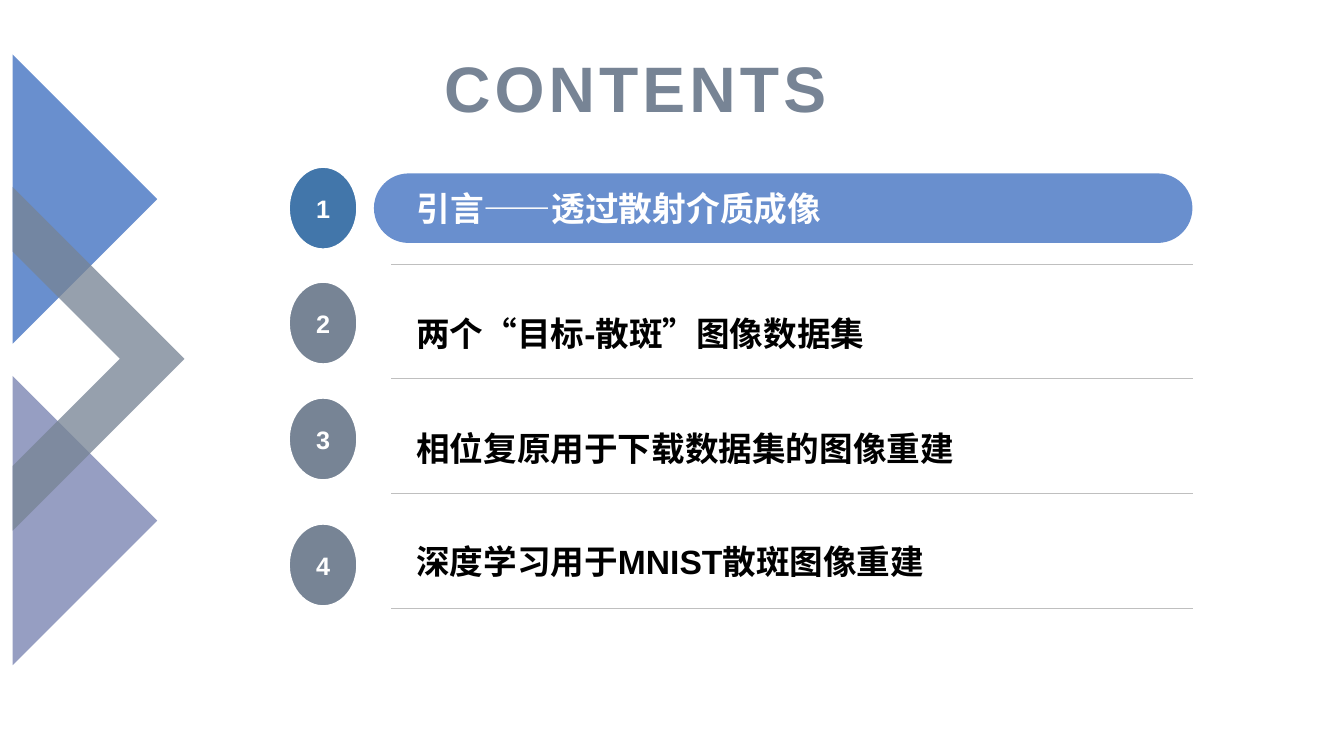
from dataclasses import dataclass

from lxml import etree
from pptx import Presentation
from pptx.dml.color import RGBColor
from pptx.enum.shapes import MSO_CONNECTOR, MSO_SHAPE
from pptx.enum.text import MSO_ANCHOR, PP_ALIGN
from pptx.oxml.ns import qn
from pptx.util import Inches, Pt

STRAIGHT = MSO_CONNECTOR.STRAIGHT
OVAL, PILL = MSO_SHAPE.OVAL, MSO_SHAPE.ROUNDED_RECTANGLE
MIDDLE, BOTTOM = MSO_ANCHOR.MIDDLE, MSO_ANCHOR.BOTTOM
LEFT, CENTER, RIGHT = PP_ALIGN.LEFT, PP_ALIGN.CENTER, PP_ALIGN.RIGHT

WHITE = RGBColor(0xFF, 0xFF, 0xFF)
BLACK = RGBColor(0x00, 0x00, 0x00)
BLUE = RGBColor(0x69, 0x8F, 0xCE)
DEEP_BLUE = RGBColor(0x42, 0x76, 0xAA)
LAVENDER = RGBColor(0x96, 0x9E, 0xC2)
SLATE = RGBColor(0x77, 0x84, 0x95)
RULE_GREY = RGBColor(0xBF, 0xBF, 0xBF)

LATIN_FONT, CHINESE_FONT = "Arial", "Noto Sans CJK SC"

# Grid of 80 columns by 45 rows
SLIDE_WIDTH, SLIDE_HEIGHT = Inches(13.33), Inches(7.5)
COLUMN, ROW = SLIDE_WIDTH / 80, SLIDE_HEIGHT / 45

EDGE = 0.75
TRIANGLE_REACH = 8.61
CHEVRON_MIDDLE, CHEVRON_OUTER, CHEVRON_INNER = 21.36, 10.23, 6.39
BADGE_LEFT, BADGE_WIDTH, BADGE_HEIGHT = 17.16, 4.14, 4.98
RULE_LEFT, RULE_RIGHT, FIRST_RULE, RULE_STEP = 23.28, 71.04, 15.72, 6.82


@dataclass(frozen=True)
class Box:
    left: float
    top: float
    width: float
    height: float

    def emu(self) -> tuple[int, int, int, int]:
        return (round(self.left * COLUMN), round(self.top * ROW),
                round(self.width * COLUMN), round(self.height * ROW))


@dataclass(frozen=True)
class TextStyle:
    size: float
    color: RGBColor
    align: PP_ALIGN = LEFT
    anchor: MSO_ANCHOR = MIDDLE
    inset: float = 0.6
    spacing: int = 0


@dataclass(frozen=True)
class Chapter:
    title: str
    badge_top: float
    box: Box
    current: bool = False


TITLE_STYLE = TextStyle(45.9, SLATE, RIGHT, spacing=300)
BADGE_STYLE = TextStyle(18, WHITE, CENTER, inset=0)
CURRENT_STYLE = TextStyle(24.1, WHITE, inset=1.92)
CHAPTER_STYLE = TextStyle(24, BLACK, anchor=BOTTOM)

CHAPTERS = [
    Chapter("引言——透过散射介质成像", 9.9, Box(22.26, 10.32, 48.72, 4.14), True),
    Chapter("两个“目标-散斑”图像数据集", 16.74, Box(24.18, 17.76, 46.56, 3.54)),
    Chapter("相位复原用于下载数据集的图像重建", 23.64, Box(24.18, 24.42, 48.72, 3.72)),
    Chapter("深度学习用于MNIST散斑图像重建", 31.14, Box(24.18, 31.14, 44.7, 3.72)),
]


def write(shape, text: str, style: TextStyle) -> None:
    frame = shape.text_frame
    inset = round(style.inset * COLUMN)
    frame_format = {"word_wrap": True, "vertical_anchor": style.anchor,
                    "margin_left": inset, "margin_right": inset}
    for name, value in frame_format.items():
        setattr(frame, name, value)
    paragraph = frame.paragraphs[0]
    paragraph.alignment = style.align
    run = paragraph.add_run()
    run.text = text
    font_format = {"name": LATIN_FONT, "size": Pt(style.size), "bold": True}
    for name, value in font_format.items():
        setattr(run.font, name, value)
    run.font.color.rgb = style.color
    # East Asian typeface and letter spacing
    properties = run._r.get_or_add_rPr()
    etree.SubElement(properties, qn("a:ea")).set("typeface", CHINESE_FONT)
    if style.spacing:
        properties.set("spc", str(style.spacing))


def paint(shape, color: RGBColor) -> None:
    shape.shadow.inherit = False
    shape.fill.solid()
    shape.fill.fore_color.rgb = color
    shape.line.fill.background()


def add_outline(shapes, points: list[tuple[float, float]], color: RGBColor):
    corners = [(round(x * COLUMN), round(y * ROW)) for x, y in points]
    builder = shapes.build_freeform(*corners[0])
    builder.add_line_segments(corners[1:], close=True)
    outline = builder.convert_to_shape()
    paint(outline, color)
    return outline


def add_triangle(shapes, middle: float, color: RGBColor) -> None:
    add_outline(shapes, [(EDGE, middle - TRIANGLE_REACH),
                         (EDGE + TRIANGLE_REACH, middle),
                         (EDGE, middle + TRIANGLE_REACH)], color)


def add_chevron(shapes) -> None:
    chevron = add_outline(shapes, [
        (EDGE, CHEVRON_MIDDLE - CHEVRON_OUTER),
        (EDGE + CHEVRON_OUTER, CHEVRON_MIDDLE),
        (EDGE, CHEVRON_MIDDLE + CHEVRON_OUTER),
        (EDGE, CHEVRON_MIDDLE + CHEVRON_INNER),
        (EDGE + CHEVRON_INNER, CHEVRON_MIDDLE),
        (EDGE, CHEVRON_MIDDLE - CHEVRON_INNER)], SLATE)
    fill_color = chevron._element.spPr.find(qn("a:solidFill")).find(qn("a:srgbClr"))
    etree.SubElement(fill_color, qn("a:alpha")).set("val", "77000")


def add_label(shapes, box: Box, text: str, style: TextStyle) -> None:
    write(shapes.add_textbox(*box.emu()), text, style)


def add_badge(shapes, number: int, chapter: Chapter) -> None:
    box = Box(BADGE_LEFT, chapter.badge_top, BADGE_WIDTH, BADGE_HEIGHT)
    badge = shapes.add_shape(OVAL, *box.emu())
    paint(badge, DEEP_BLUE if chapter.current else SLATE)
    badge.line.color.rgb = WHITE
    badge.line.width = Pt(2.25)
    write(badge, str(number), BADGE_STYLE)


def add_rule(shapes, row: float) -> None:
    y = round(row * ROW)
    rule = shapes.add_connector(STRAIGHT, round(RULE_LEFT * COLUMN), y,
                                round(RULE_RIGHT * COLUMN), y)
    rule.line.color.rgb = RULE_GREY
    rule.line.width = Pt(0.25)
    etree.SubElement(rule._element.spPr, qn("a:effectLst"))


def add_chapter(shapes, index: int, chapter: Chapter) -> None:
    if chapter.current:
        pill = shapes.add_shape(PILL, *chapter.box.emu())
        pill.adjustments[0] = 0.5
        paint(pill, BLUE)
        write(pill, chapter.title, CURRENT_STYLE)
    else:
        add_label(shapes, chapter.box, chapter.title, CHAPTER_STYLE)
    add_badge(shapes, index + 1, chapter)
    add_rule(shapes, FIRST_RULE + index * RULE_STEP)


def main() -> None:
    deck = Presentation()
    deck.slide_width, deck.slide_height = SLIDE_WIDTH, SLIDE_HEIGHT
    shapes = deck.slides.add_slide(deck.slide_layouts[6]).shapes

    # Ornament on the left edge
    add_triangle(shapes, 30.99, LAVENDER)
    add_triangle(shapes, 11.85, BLUE)
    add_chevron(shapes)

    # Title and chapter list
    add_label(shapes, Box(25.26, 2.16, 24.54, 6.06), "CONTENTS", TITLE_STYLE)
    for index, chapter in enumerate(CHAPTERS):
        add_chapter(shapes, index, chapter)

    deck.save("out.pptx")


if __name__ == "__main__":
    main()
